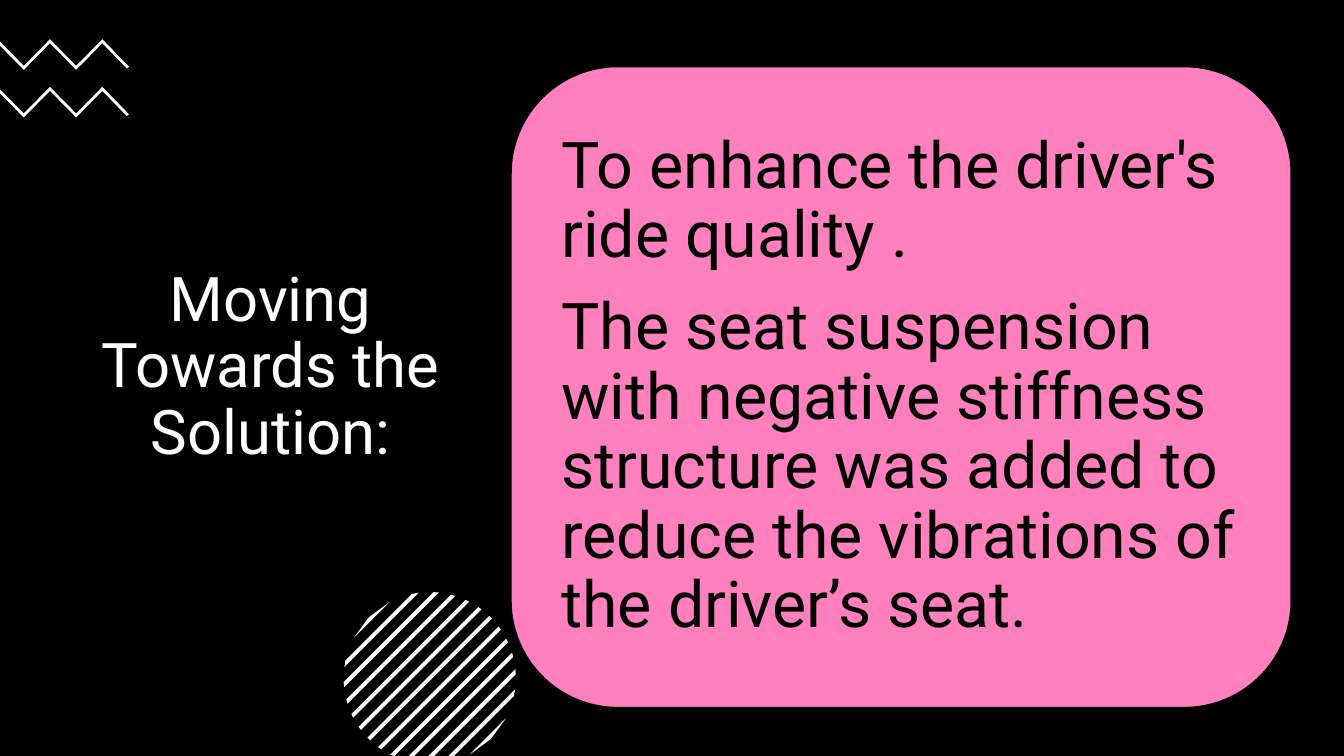
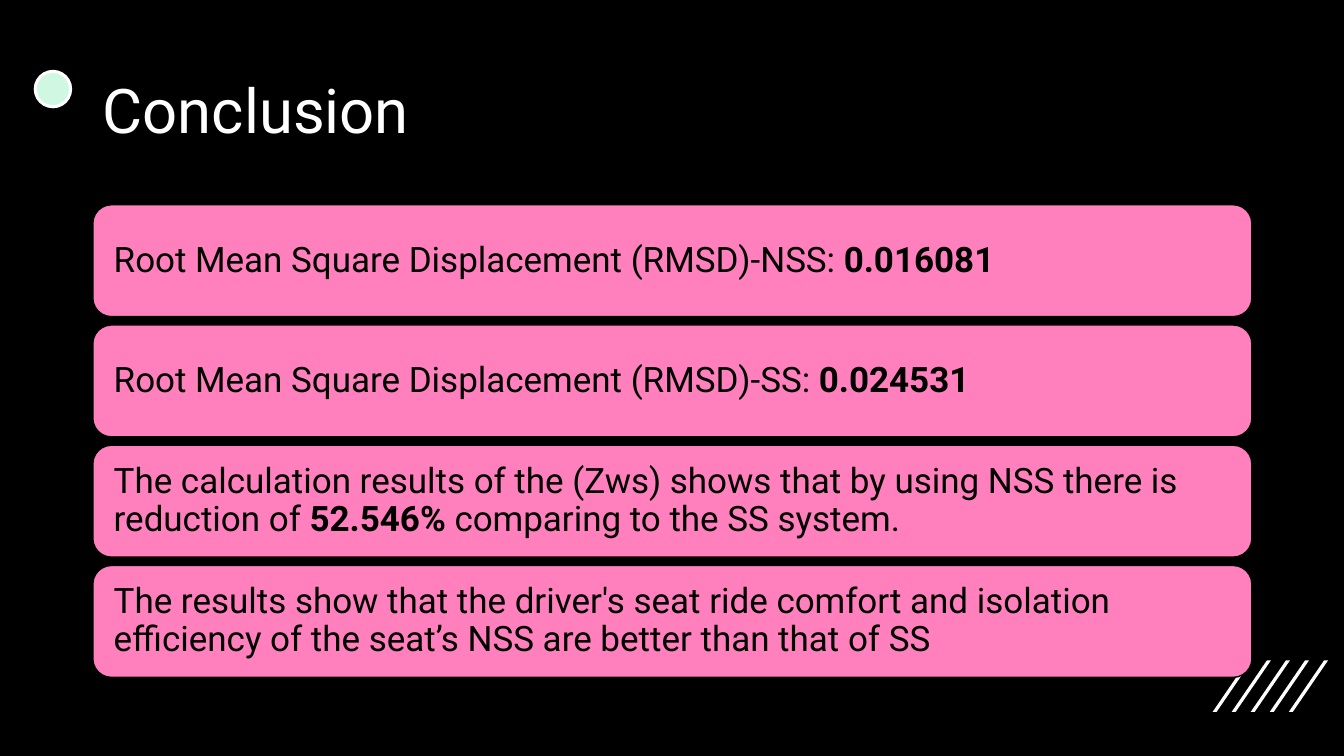
from math import sqrt

from lxml import etree
from pptx import Presentation
from pptx.dml.color import RGBColor
from pptx.enum.shapes import MSO_SHAPE
from pptx.enum.text import MSO_ANCHOR, MSO_AUTO_SIZE, PP_ALIGN
from pptx.util import Cm, Pt

BLACK = RGBColor(0x00, 0x00, 0x00)
WHITE = RGBColor(0xFF, 0xFF, 0xFF)
PINK = RGBColor(0xFF, 0x80, 0xBD)
MINT = RGBColor(0xCF, 0xF7, 0xE1)
FONT = "Roboto"
SLIDE_WIDTH, SLIDE_HEIGHT = 33.87, 19.05  # all plain lengths are centimetres
ROUNDED, OVAL = MSO_SHAPE.ROUNDED_RECTANGLE, MSO_SHAPE.OVAL
MIDDLE, NO_FIT = MSO_ANCHOR.MIDDLE, MSO_AUTO_SIZE.NONE
LEFT, CENTER = PP_ALIGN.LEFT, PP_ALIGN.CENTER
DRAWING_NS = "{http://schemas.openxmlformats.org/drawingml/2006/main}"

GOALS = [
    "To enhance the driver's ride quality .",
    "The seat suspension with negative stiffness structure was added to "
    "reduce the vibrations of the driver’s seat.",
]
# Each finding is a list of (text, bold) spans
FINDINGS = [
    [("Root Mean Square Displacement (RMSD)-NSS: ", False), ("0.016081", True)],
    [("Root Mean Square Displacement (RMSD)-SS: ", False), ("0.024531", True)],
    [("The calculation results of the (Zws) shows that by using NSS there is "
      "reduction of ", False), ("52.546% ", True),
     ("comparing to the SS system.", False)],
    [("The results show that the driver's seat ride comfort and isolation "
      "efficiency of the seat’s NSS are better than that of SS", False)],
]


# Shared helpers
def place(shape, left, top, width, height):
    shape.left, shape.top = Cm(left), Cm(top)
    shape.width, shape.height = Cm(width), Cm(height)


def add_outline(page, points):
    """Draw a closed white polygon."""
    corners = [(Cm(x), Cm(y)) for x, y in points]
    builder = page.shapes.build_freeform(*corners[0], scale=1.0)
    builder.add_line_segments(corners[1:], close=True)
    outline = builder.convert_to_shape()
    outline.shadow.inherit = False
    outline.fill.solid()
    outline.fill.fore_color.rgb = WHITE
    outline.line.fill.background()


def add_preset(page, kind, box, fill, line, line_width):
    shape = page.shapes.add_shape(kind, *(Cm(length) for length in box))
    shape.shadow.inherit = False
    shape.fill.solid()
    shape.fill.fore_color.rgb = fill
    shape.line.color.rgb = line
    shape.line.width = Pt(line_width)
    return shape


def format_frame(frame, inset):
    frame.word_wrap = True
    frame.auto_size = NO_FIT
    frame.vertical_anchor = MIDDLE
    frame.margin_left = frame.margin_right = Cm(inset)
    frame.margin_top = frame.margin_bottom = Cm(inset)


def format_para(para, size, color, align=LEFT, gap=0.0):
    """Style a paragraph; gap is the space after as a share of the size."""
    para.font.name = FONT
    para.font.size = Pt(size)
    para.font.color.rgb = color
    para.alignment = align
    para.line_spacing = 0.9
    para.space_before = Pt(0)
    para.space_after = Pt(size * gap)


def set_title(page, text, box, align):
    title = page.shapes.title
    place(title, *box)
    title.text_frame.text = text
    format_frame(title.text_frame, 0.25)
    format_para(title.text_frame.paragraphs[0], 44, WHITE, align)


# Decorations
def add_zigzag(page, left, top):
    step, depth, thickness = 0.66, 0.67, 0.1
    edge = [(left, top + 0.06)]
    edge += [(left + 0.6 + i * step, top + depth * (1 - i % 2)) for i in range(4)]
    lower = [(x, y + thickness) for x, y in edge]
    tip = [(left + 3.25, top + 0.69), (left + 3.2, top + 0.74)]
    add_outline(page, edge + tip + lower[::-1])


def add_striped_disc(page, center_x, center_y, radius):
    """Draw diagonal stripes clipped by a circle and the slide's bottom."""
    pitch, half = 0.5, 0.07

    def chord(offset):
        x, y = center_x + offset / 2, center_y + offset / 2
        rise = sqrt(max(0, radius ** 2 - offset ** 2 / 2) / 2)
        fall = min(rise, SLIDE_HEIGHT - y)
        return [(x + rise, y - rise), (x - fall, y + fall)]

    for i in range(-6, 7):
        add_outline(page, chord(i * pitch - half) + chord(i * pitch + half)[::-1])


def add_slashes(page, left, top):
    pitch, slant, height, thickness = 0.48, 0.89, 1.3, 0.1
    for i in range(5):
        x = left + i * pitch
        add_outline(page, [(x, top + height), (x + slant, top),
                           (x + slant + thickness, top),
                           (x + thickness, top + height)])


# Content regions
def add_goal_panel(page, goals, left, top, width, height):
    panel = add_preset(page, ROUNDED, (left, top, width, height), PINK, BLACK, 1)
    body = page.placeholders[1]
    body.element.addprevious(panel.element)  # panel goes behind its text
    margin = 0.79
    place(body, left + margin, top + margin, width - 2 * margin, height - 2 * margin)
    frame = body.text_frame
    format_frame(frame, 0.48)
    frame.text = "\n".join(goals)
    for para in frame.paragraphs:
        format_para(para, 46, BLACK, gap=0.35)
        properties = para._p.get_or_add_pPr()
        properties.set("marL", "0")
        properties.set("indent", "0")
        etree.SubElement(properties, DRAWING_NS + "buNone")
        # The bullet setting must come before the default run properties
        properties.append(properties.find(DRAWING_NS + "defRPr"))


def add_finding_cards(page, findings, left, top, width):
    height, pitch = 2.82, 3.03
    for i, spans in enumerate(findings):
        box = (left, top + i * pitch, width, height)
        card = add_preset(page, ROUNDED, box, PINK, BLACK, 1)
        format_frame(card.text_frame, 0.39)
        para = card.text_frame.paragraphs[0]
        format_para(para, 25, BLACK, gap=0.35)
        for text, bold in spans:
            span = para.add_run()
            span.text = text
            span.font.bold = bold


# Slides
def build_solution(deck):
    page = deck.slides.add_slide(deck.slide_layouts[1])
    set_title(page, "Moving Towards the Solution:", (1.22, 2.82, 11.2, 12.9), CENTER)
    for top in (0.99, 2.19):
        add_zigzag(page, 0, top)
    add_striped_disc(page, 10.83, 17.09, 2.17)
    add_goal_panel(page, GOALS, 12.88, 1.68, 19.66, 16.15)


def build_conclusion(deck):
    page = deck.slides.add_slide(deck.slide_layouts[5])
    add_slashes(page, 30.56, 16.64)
    add_preset(page, OVAL, (0.89, 1.8, 0.89, 0.89), MINT, WHITE, 2.25)
    set_title(page, "Conclusion", (2.34, 1.02, 29.21, 3.68), LEFT)
    add_finding_cards(page, FINDINGS, 2.34, 5.16, 29.21)


def main():
    deck = Presentation()
    deck.slide_width, deck.slide_height = Cm(SLIDE_WIDTH), Cm(SLIDE_HEIGHT)
    backdrop = deck.slide_master.background.fill
    backdrop.solid()
    backdrop.fore_color.rgb = BLACK
    build_solution(deck)
    build_conclusion(deck)
    deck.save("out.pptx")


if __name__ == "__main__":
    main()
